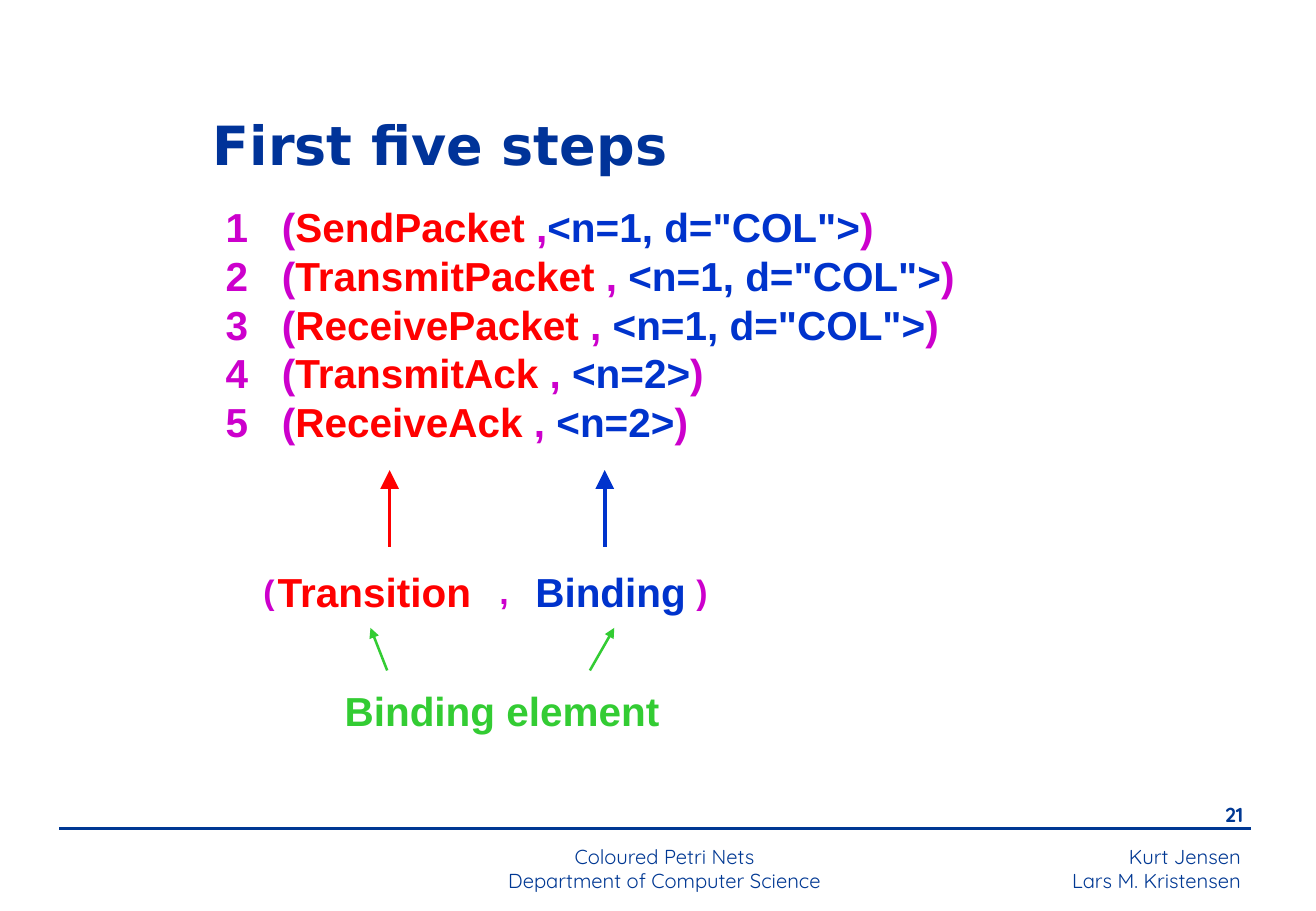
from dataclasses import dataclass

from pptx import Presentation
from pptx.dml.color import RGBColor
from pptx.enum.shapes import MSO_CONNECTOR
from pptx.enum.text import MSO_ANCHOR, PP_ALIGN
from pptx.oxml.ns import qn
from pptx.util import Cm, Pt
from lxml import etree

STRAIGHT = MSO_CONNECTOR.STRAIGHT
MIDDLE = MSO_ANCHOR.MIDDLE
LEFT, CENTER, RIGHT = PP_ALIGN.LEFT, PP_ALIGN.CENTER, PP_ALIGN.RIGHT


@dataclass(frozen=True)
class Theme:
    title: str = "003399"
    footer: str = "003893"
    punctuation: str = "CC00CC"
    transition: str = "FF0000"
    binding: str = "0033CC"
    element: str = "33CC33"
    title_font: str = "DejaVu Sans"
    body_font: str = "Arial"
    footer_font: str = "Quicksand"
    title_size: int = 32
    body_size: int = 24
    bracket_size: int = 20
    footer_size: int = 12
    thick: float = 2.25
    thin: float = 1.5


class SlideBuilder:
    def __init__(self, slide, theme):
        self.slide = slide
        self.theme = theme

    def fill_frame(self, frame, lines, size, font, bold=True, align=LEFT, before=0, tabs=()):
        for index, runs in enumerate(lines):
            paragraph = frame.paragraphs[0] if index == 0 else frame.add_paragraph()
            spacing = {"alignment": align, "space_before": Pt(before)}
            for key, value in spacing.items():
                setattr(paragraph, key, value)
            if tabs:
                properties = paragraph._p.get_or_add_pPr()
                stops = etree.SubElement(properties, qn("a:tabLst"))
                for stop in tabs:
                    etree.SubElement(stops, qn("a:tab"), pos=str(Cm(stop)), algn="l")
            for words, color in runs:
                run = paragraph.add_run()
                run.text = words
                for key, value in {"name": font, "size": Pt(size), "bold": bold}.items():
                    setattr(run.font, key, value)
                run.font.color.rgb = RGBColor.from_string(color)

    def title(self, words, box):
        holder = self.slide.shapes.title
        for key, value in zip(("left", "top", "width", "height"), box):
            setattr(holder, key, Cm(value))
        frame = holder.text_frame
        layout = {"vertical_anchor": MIDDLE, "margin_left": Cm(0.18), "word_wrap": True}
        for key, value in layout.items():
            setattr(frame, key, value)
        theme = self.theme
        self.fill_frame(frame, [[(words, theme.title)]], theme.title_size, theme.title_font)

    def text(self, lines, box, size=None, font=None, **style):
        frame = self.slide.shapes.add_textbox(*map(Cm, box)).text_frame
        frame.word_wrap = True
        self.fill_frame(frame, lines, size or self.theme.body_size,
                        font or self.theme.body_font, **style)

    def footer(self, lines, box, **style):
        theme = self.theme
        self.text([[(line, theme.footer)] for line in lines], box,
                  theme.footer_size, theme.footer_font, **style)

    def line(self, start, end, color, width, head=None):
        connector = self.slide.shapes.add_connector(STRAIGHT, *map(Cm, (*start, *end)))
        connector.line.color.rgb = RGBColor.from_string(color)
        connector.line.width = Pt(width)
        if head:
            etree.SubElement(connector.line._get_or_add_ln(), qn("a:tailEnd"),
                             type="triangle", w=head, len=head)
        etree.SubElement(connector._element.spPr, qn("a:effectLst"))


def main():
    presentation = Presentation()
    presentation.slide_width = Cm(27.53)
    presentation.slide_height = Cm(19.05)
    theme = Theme()
    page = SlideBuilder(presentation.slides.add_slide(presentation.slide_layouts[5]), theme)

    page.footer(["Kurt Jensen", "Lars M. Kristensen"], (17.65, 17.53, 8.56, 1.27),
                bold=False, align=RIGHT)
    page.footer(["21"], (24.46, 16.66, 1.8, 0.84), align=RIGHT, before=7.5)
    page.line((1.24, 17.32), (26.16, 17.32), theme.footer, theme.thin)
    page.footer(["Coloured Petri Nets", "Department of Computer Science"],
                (8.66, 17.53, 10.49, 1.19), bold=False, align=CENTER)

    page.title("First five steps", (4.27, 2.13, 13.11, 1.75))

    steps = [
        ("SendPacket ", ",", '<n=1, d="COL">'),
        ("TransmitPacket ", ", ", '<n=1, d="COL">'),
        ("ReceivePacket ", ", ", '<n=1, d="COL">'),
        ("TransmitAck ", ", ", "<n=2>"),
        ("ReceiveAck ", ", ", "<n=2>"),
    ]
    page.text([[(f"{number}\t(", theme.punctuation), (transition, theme.transition),
                (comma, theme.punctuation), (binding, theme.binding),
                (")", theme.punctuation)]
               for number, (transition, comma, binding) in enumerate(steps, 1)],
              (4.47, 4.11, 16.69, 5.33), tabs=(1.18,))

    parts = [("Transition", theme.transition, 5.56, 4.9, 8.15),
             ("Binding", theme.binding, 10.95, 4.5, 12.65)]
    for words, color, left, width, arrow in parts:
        page.text([[(words, color)]], (left, 11.73, width, 1.27))
        page.line((arrow, 11.43), (arrow, 9.83), color, theme.thick, "lg")
    page.text([[("(\t,\t)", theme.punctuation)]], (5.26, 11.81, 10.31, 1.12),
              theme.bracket_size, tabs=(4.94, 9.06))

    page.text([[("Binding element", theme.element)]], (6.96, 14.22, 7.9, 1.27))
    for start, end in ((8.1, 7.75), (12.34, 12.85)):
        page.line((start, 14.02), (end, 13.13), theme.element, theme.thin, "med")

    presentation.save("out.pptx")


if __name__ == "__main__":
    main()
